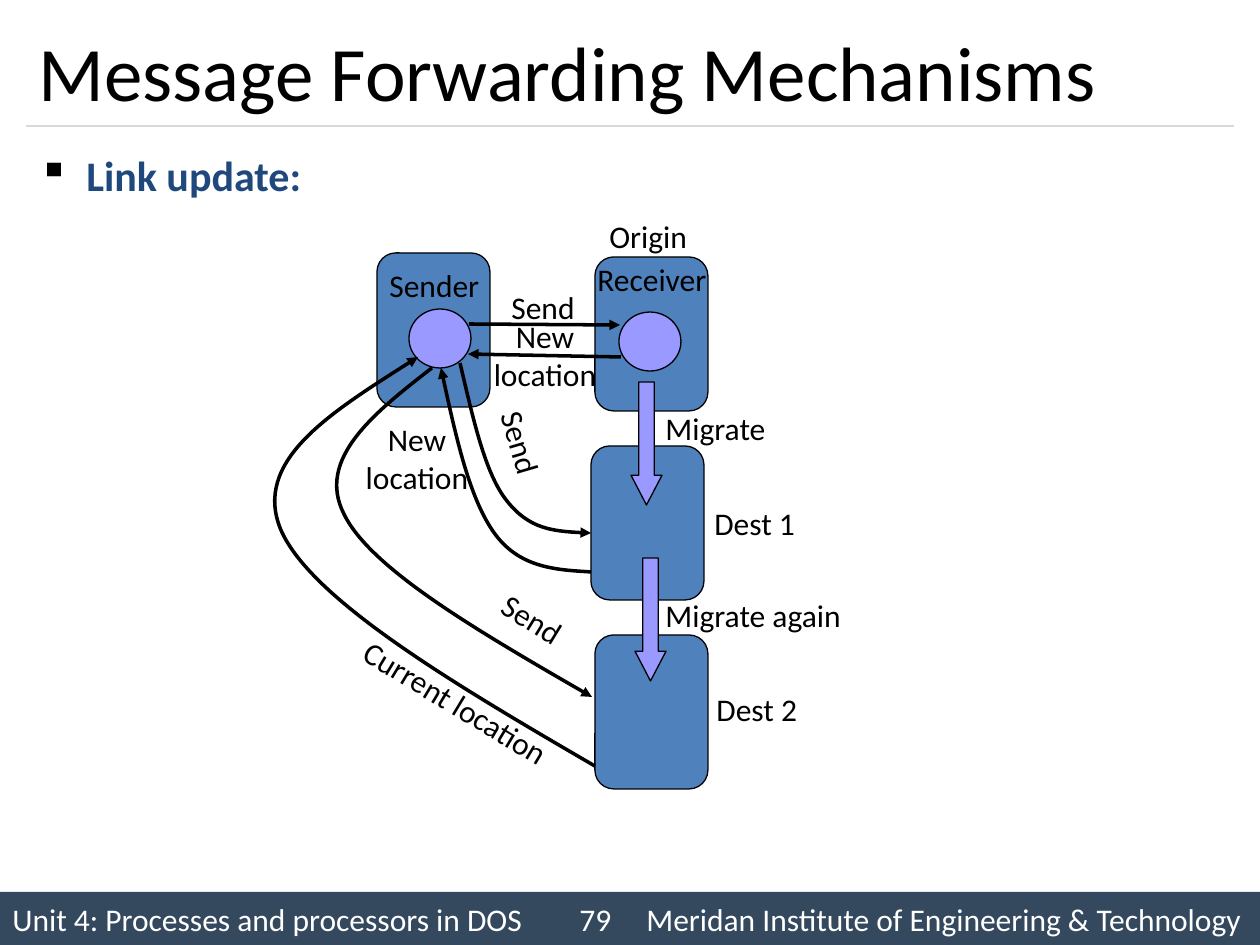
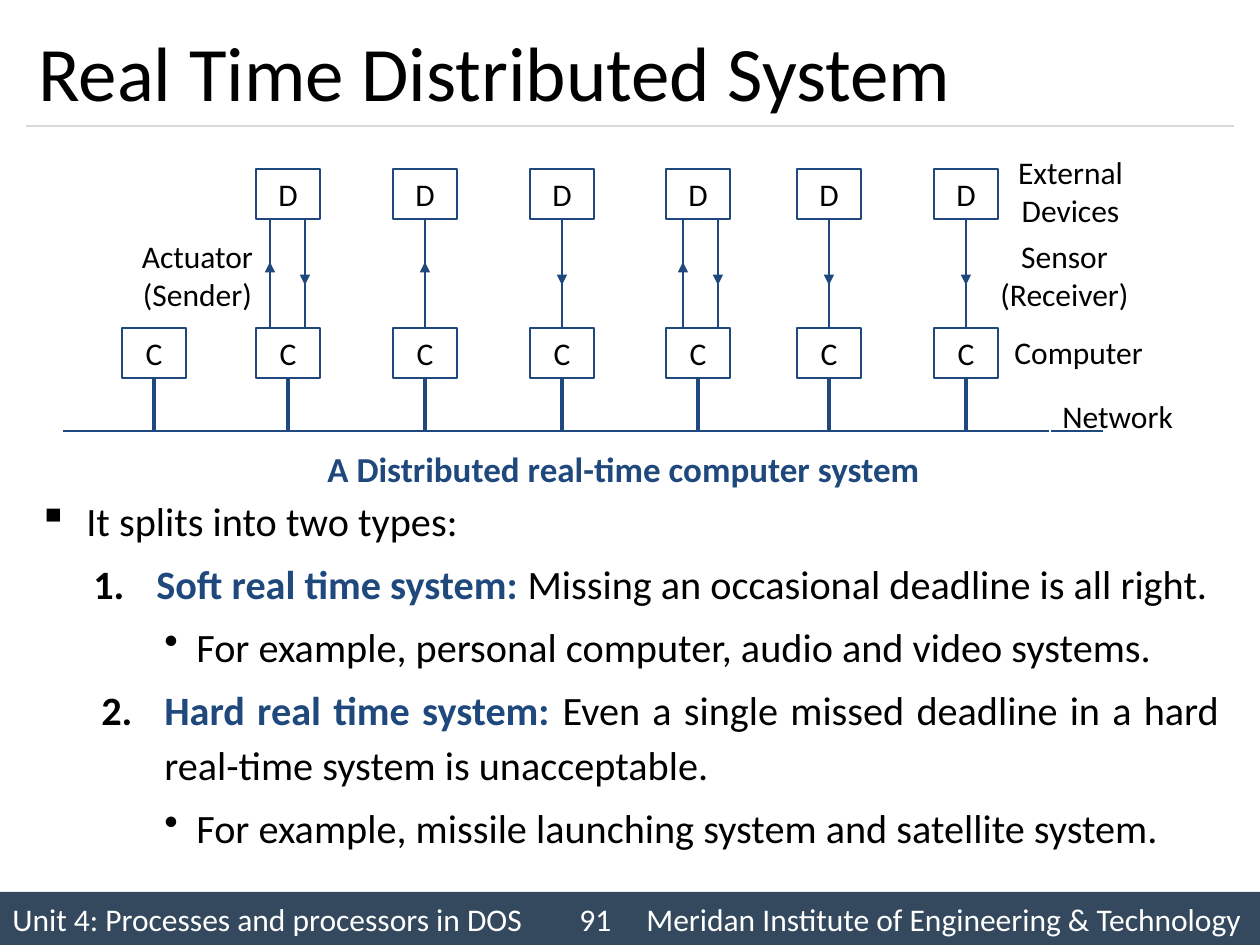
from lxml.etree import SubElement
from pptx import Presentation
from pptx.dml.color import RGBColor
from pptx.enum.shapes import MSO_CONNECTOR, MSO_SHAPE as SHAPE
from pptx.enum.text import MSO_ANCHOR as ANCHOR, PP_ALIGN as ALIGN
from pptx.oxml.ns import qn
from pptx.util import Pt

PX = 914400 / 126  # EMU per px
FONT = "Calibri"
COLORS = {
    "black": "000000", "white": "FFFFFF", "navy": "1F497D", "band": "34495E",
    "rule": "D9D9D9", "node": "4F81BD", "process": "9999FF",
}

# ---- Content shared by both slides
UNIT = "Unit 4: Processes and processors in DOS"
INSTITUTE = "Meridan Institute of Engineering & Technology"
FOOTER_TABS = (567, 634)

# ---- Content of the forwarding slide
# Body paragraphs: (bullet, left margin, hanging indent, [(text, is key term)])
LINK_BODY = [("▪", 48, 48, [("Link update:", True)])]
NODE_SIZE, PROCESS_SIZE, MIGRATION_SIZE = (113, 154), (62, 59), (31, 123)
NODES = [(377, 253), (595, 257), (591, 446), (595, 635)]
PROCESSES = [(409, 309), (619, 312)]
MIGRATIONS = [(631, 382), (635, 558)]
# Labels: text, box, rotation, alignment
LINK_LABELS = [
    ("Sender", (377, 260, 135, 50), 0, ALIGN.LEFT),
    ("Origin", (597, 211, 113, 50), 0, ALIGN.LEFT),
    ("Receiver", (585, 254, 135, 50), 0, ALIGN.LEFT),
    ("Dest 1", (702, 498, 120, 50), 0, ALIGN.LEFT),
    ("Dest 2", (704, 684, 135, 50), 0, ALIGN.LEFT),
    ("Migrate", (653, 403, 135, 50), 0, ALIGN.LEFT),
    ("Migrate again", (653, 590, 222, 50), 0, ALIGN.LEFT),
    ("Send", (499, 282, 97, 50), 0, ALIGN.LEFT),
    ("New location", (470, 311, 150, 89), 0, ALIGN.CENTER),
    ("New location", (324, 414, 186, 89), 0, ALIGN.CENTER),
    ("Send", (470, 427, 108, 50), 73.7, ALIGN.LEFT),
    ("Send", (488, 595, 94, 50), 31.6, ALIGN.LEFT),
    ("Current location", (338, 684, 258, 50), 31.1, ALIGN.LEFT),
]
MESSAGES = [(469, 324, 620, 325), (621, 357, 468, 354)]
# Bézier curves: start, then control, control, end for each piece
CURVED_MESSAGES = [
    [(460, 363), (473, 418), (485, 474), (507, 501), (529, 529), (559, 532), (591, 533)],
    [(432, 368), (374, 413), (316, 459), (344, 514), (370, 568), (481, 633), (592, 697)],
    [(595, 766), (452, 683), (311, 599), (281, 530), (252, 461), (335, 410), (418, 357)],
    [(591, 572), (556, 570), (520, 568), (495, 534), (470, 500), (455, 433), (441, 368)],
]

# ---- Content of the real time slide
TYPES_BODY = [
    ("▪", 48, 48, [("It splits into two types:", False)]),
    (1, 118, 63, [("Soft real time system: ", True),
                  ("Missing an occasional deadline is all right.", False)]),
    ("•", 158, 32, [("For example, personal computer, audio and video systems.", False)]),
    (2, 126, 63, [("Hard real time system: ", True),
                  ("Even a single missed deadline in a hard real-time system "
                   "is unacceptable.", False)]),
    ("•", 158, 32, [("For example, missile launching system and satellite system.", False)]),
]
# Computers: centre, links to the device above as (offset, direction)
COMPUTERS = [
    (154, []),
    (288, [(-18, "up"), (17, "down")]),
    (425, [(0, "up")]),
    (562, [(0, "down")]),
    (698, [(-15, "up"), (20, "down")]),
    (829, [(0, "down")]),
    (966, [(0, "down")]),
]
BOX_W, BOX_H, DEVICE_Y, COMPUTER_Y, BUS_Y = 64, 50, 169, 328, 431
ARROW_RUN, ARROW_OVERLAP = 66, 22
# Labels: text, box, alignment, wrapped, white outline
SYSTEM_LABELS = [
    ("Network", (1050, 391, 137, 50), ALIGN.LEFT, False, True),
    ("Computer", (1002, 327, 155, 50), ALIGN.LEFT, False, True),
    ("External\nDevices", (1005, 147, 131, 89), ALIGN.CENTER, False, True),
    ("Actuator\n(Sender)", (122, 231, 151, 89), ALIGN.CENTER, True, False),
    ("Sensor\n(Receiver)", (987, 231, 155, 89), ALIGN.CENTER, False, False),
]


def px(*values):
    return [round(v * PX) for v in values]


def rgb(name):
    return RGBColor.from_string(COLORS[name])


def style_run(r, size, color="black", bold=False):
    r.font.name, r.font.size, r.font.bold = FONT, Pt(size), bold
    r.font.color.rgb = rgb(color)


def style_line(line, color, width, arrow=False):
    line.color.rgb = rgb(color)
    line.width = Pt(width)
    if arrow:
        SubElement(line._get_or_add_ln(), qn("a:tailEnd"), type="triangle")


def write(sp, text, size=18, color="black", bold=False, align=ALIGN.LEFT, wrap=True):
    tf = sp.text_frame
    tf.text = text
    tf.word_wrap = wrap
    for p in tf.paragraphs:
        p.alignment = align
        for r in p.runs:
            style_run(r, size, color, bold)
    return tf


def add_text(s, text, box, **style):
    sp = s.shapes.add_textbox(*px(*box))
    write(sp, text, **style)
    return sp


def add_shape(s, kind, box, fill=None, line=None, width=0.75):
    sp = s.shapes.add_shape(kind, *px(*box))
    sp.shadow.inherit = False
    if fill:
        sp.fill.solid()
        sp.fill.fore_color.rgb = rgb(fill)
    else:
        sp.fill.background()
    if line:
        style_line(sp.line, line, width)
    else:
        sp.line.fill.background()
    return sp


def add_line(s, ends, color, width, arrow=False):
    cn = s.shapes.add_connector(MSO_CONNECTOR.STRAIGHT, *px(*ends))
    style_line(cn.line, color, width, arrow)
    SubElement(cn._element.spPr, qn("a:effectLst"))
    return cn


def add_curve(s, points):
    """Build an outline through the points, then bend each three steps into a Bézier."""
    builder = s.shapes.build_freeform(*points[0], scale=PX)
    builder.add_line_segments(points[1:], close=False)
    sp = builder.convert_to_shape()
    sp.shadow.inherit = False
    sp.fill.background()
    style_line(sp.line, "black", 2, arrow=True)
    outline = next(sp._element.iter(qn("a:path")))
    steps = outline.findall(qn("a:lnTo"))
    for i in range(0, len(steps), 3):
        bend = SubElement(outline, qn("a:cubicBezTo"))
        for step in steps[i:i + 3]:
            bend.append(step[0])
            outline.remove(step)


def add_body(s, paragraphs, box, size, align):
    tf = s.shapes.add_textbox(*px(*box)).text_frame
    tf.word_wrap = True
    for i, (bullet, margin, hanging, runs) in enumerate(paragraphs):
        p = tf.add_paragraph() if i else tf.paragraphs[0]
        p.alignment, p.line_spacing, p.space_before = align, 1.14, Pt(size * 0.2)
        for text, is_key in runs:
            r = p.add_run()
            r.text = text
            style_run(r, size, "navy" if is_key else "black", is_key)
        pPr = p._p.get_or_add_pPr()
        pPr.set("marL", str(px(margin)[0]))
        pPr.set("indent", str(px(-hanging)[0]))
        SubElement(SubElement(pPr, qn("a:buClr")), qn("a:srgbClr"), val=COLORS["black"])
        if isinstance(bullet, int):
            SubElement(pPr, qn("a:buAutoNum"), type="arabicPeriod", startAt=str(bullet))
        else:
            SubElement(pPr, qn("a:buChar"), char=bullet)


def add_slide(prs, title, number):
    s = prs.slides.add_slide(prs.slide_layouts[6])
    # Footer band
    band = add_shape(s, SHAPE.RECTANGLE, (0, 892, 1260, 53), "band")
    tf = write(band, f"{UNIT}\t{number}\t{INSTITUTE}", color="white")
    tf.vertical_anchor = ANCHOR.MIDDLE
    tabs = SubElement(tf.paragraphs[0]._p.get_or_add_pPr(), qn("a:tabLst"))
    for pos in px(*FOOTER_TABS):
        SubElement(tabs, qn("a:tab"), pos=str(pos), algn="l")
    # Title and rule
    add_line(s, (26, 126, 1234, 126), "rule", 0.75)
    heading = add_text(s, title, (26, 15, 1207, 111), size=44)
    heading.text_frame.vertical_anchor = ANCHOR.MIDDLE
    return s


def build_forwarding(prs):
    s = add_slide(prs, "Message Forwarding Mechanisms", 79)
    add_body(s, LINK_BODY, (26, 136, 1207, 735), 24, ALIGN.LEFT)
    # Nodes, processes and migrations
    for kind, places, size, fill in (
        (SHAPE.ROUNDED_RECTANGLE, NODES, NODE_SIZE, "node"),
        (SHAPE.OVAL, PROCESSES, PROCESS_SIZE, "process"),
        (SHAPE.DOWN_ARROW, MIGRATIONS, MIGRATION_SIZE, "process"),
    ):
        for place in places:
            sp = add_shape(s, kind, place + size, fill, "black")
            if kind == SHAPE.DOWN_ARROW:
                sp.adjustments[1] = 0.96
    # Messages
    for ends in MESSAGES:
        add_line(s, ends, "black", 2, arrow=True)
    for points in CURVED_MESSAGES:
        add_curve(s, points)
    for text, box, rotation, align in LINK_LABELS:
        add_text(s, text, box, align=align).rotation = rotation


def add_box(s, letter, centre, top):
    sp = add_shape(s, SHAPE.RECTANGLE, (centre - BOX_W // 2, top, BOX_W, BOX_H),
                   line="navy", width=1.5)
    write(sp, letter, align=ALIGN.CENTER).vertical_anchor = ANCHOR.MIDDLE
    return sp


def add_link(s, x, direction, device, computer, centred):
    """Draw a link whose arrowhead sits halfway between device and computer."""
    start, end, sign = DEVICE_Y + BOX_H, COMPUTER_Y, 1
    source, target, out_side, in_side = device, computer, 2, 0
    if direction == "up":
        start, end, sign = end, start, -1
        source, target, out_side, in_side = computer, device, 0, 2
    tip = start + sign * ARROW_RUN
    first = add_line(s, (x, start, x, tip), "navy", 1.5, arrow=True)
    rest = add_line(s, (x, tip - sign * ARROW_OVERLAP, x, end), "navy", 1.5)
    if centred:
        first.begin_connect(source, out_side)
        rest.end_connect(target, in_side)


def build_real_time(prs):
    s = add_slide(prs, "Real Time Distributed System", 91)
    add_body(s, TYPES_BODY, (26, 483, 1207, 409), 23, ALIGN.JUSTIFY)
    # Network with its computers and devices
    add_line(s, (63, BUS_Y, 1103, BUS_Y), "navy", 1.5)
    for centre, links in COMPUTERS:
        computer = add_box(s, "C", centre, COMPUTER_Y)
        drop = add_line(s, (centre, COMPUTER_Y + BOX_H, centre, BUS_Y), "navy", 2.25)
        drop.begin_connect(computer, 2)
        if links:
            device = add_box(s, "D", centre, DEVICE_Y)
            for offset, direction in links:
                add_link(s, centre + offset, direction, device, computer, offset == 0)
    # Labels and caption
    for text, box, align, wrap, outlined in SYSTEM_LABELS:
        sp = add_text(s, text, box, align=align, wrap=wrap)
        if outlined:
            style_line(sp.line, "white", 0.75)
    add_text(s, "A Distributed real-time computer system", (315, 441, 622, 55),
             size=20, color="navy", bold=True)


def main():
    prs = Presentation()
    prs.slide_width, prs.slide_height = px(1260, 945)
    build_forwarding(prs)
    build_real_time(prs)
    prs.save("out.pptx")


if __name__ == "__main__":
    main()
